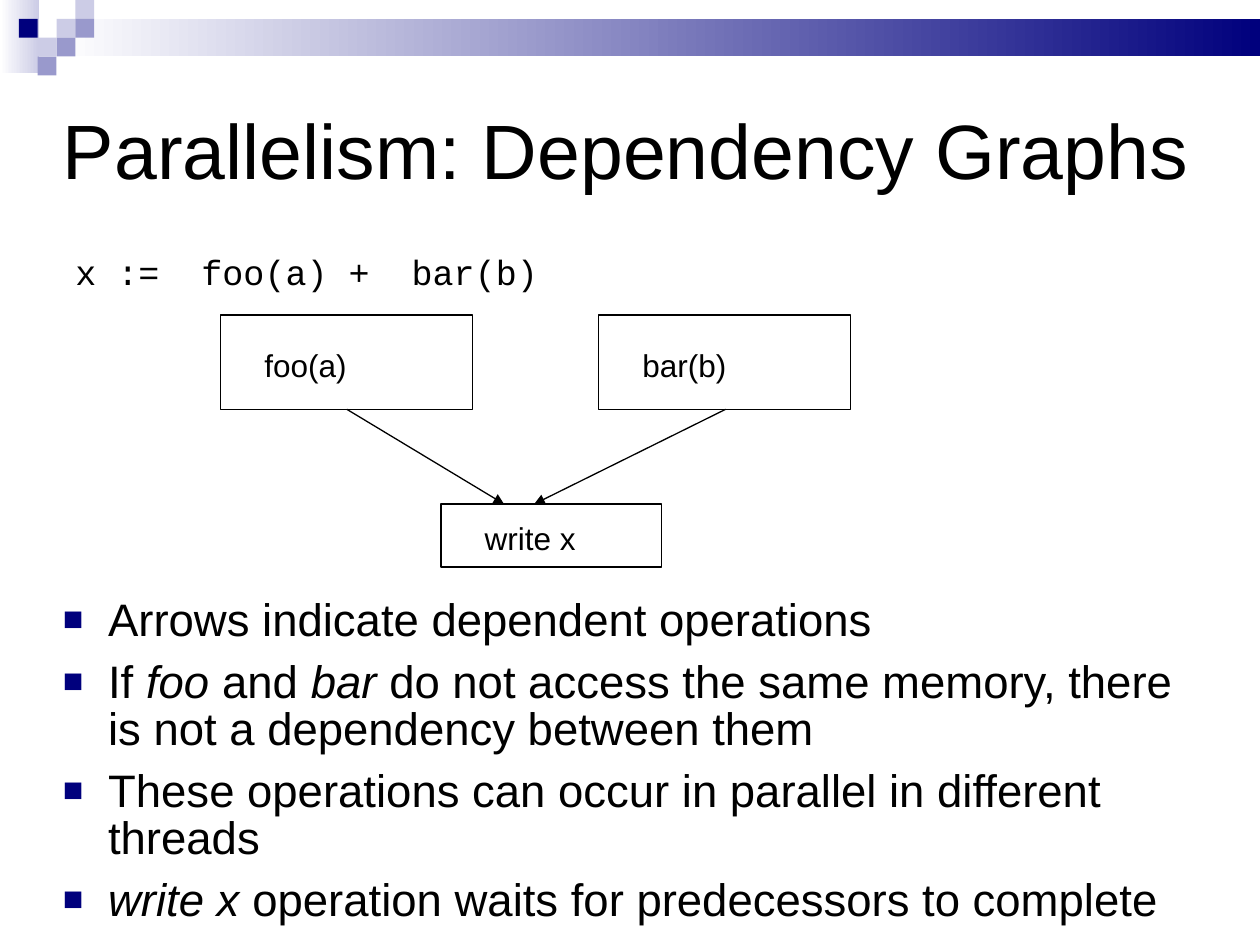
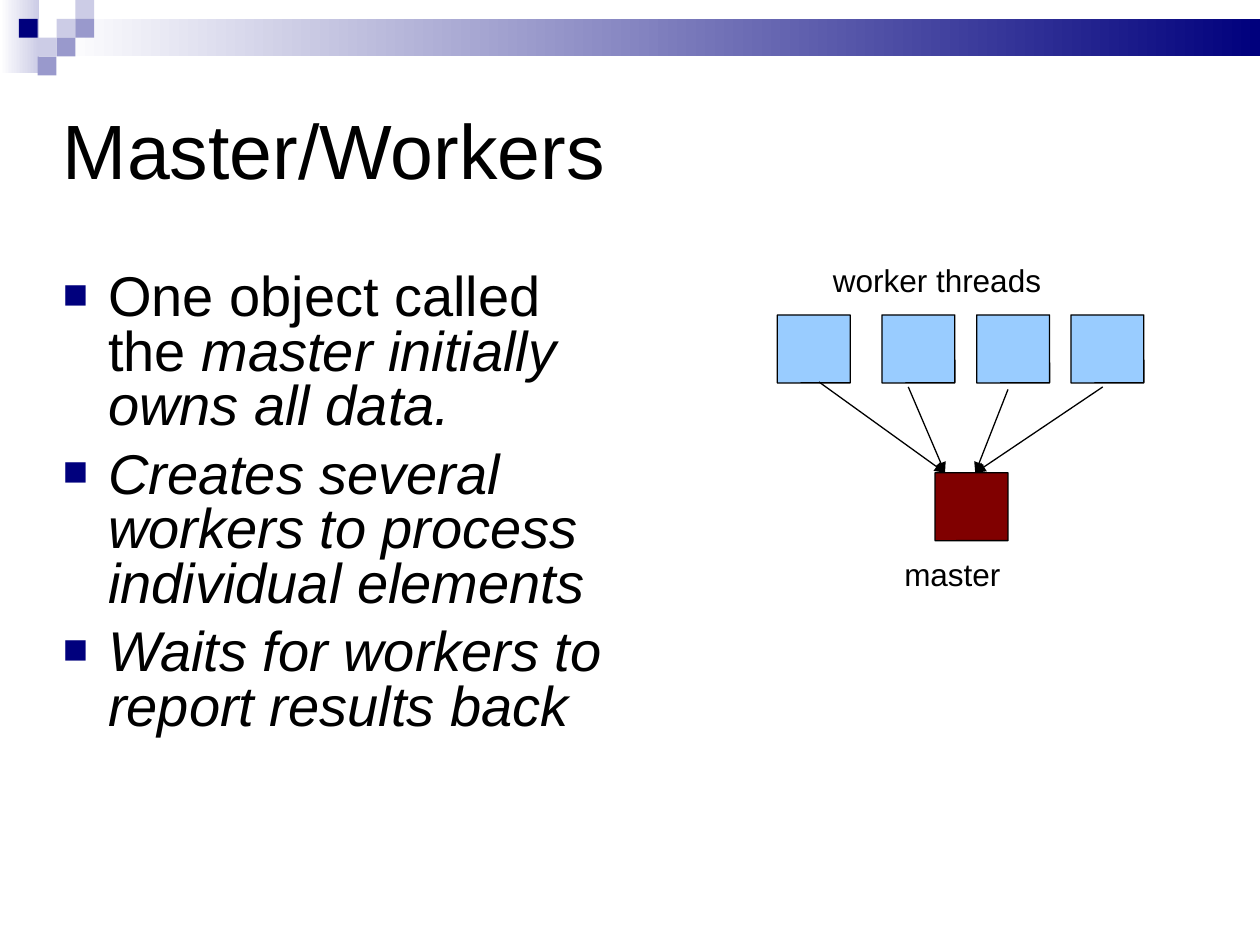
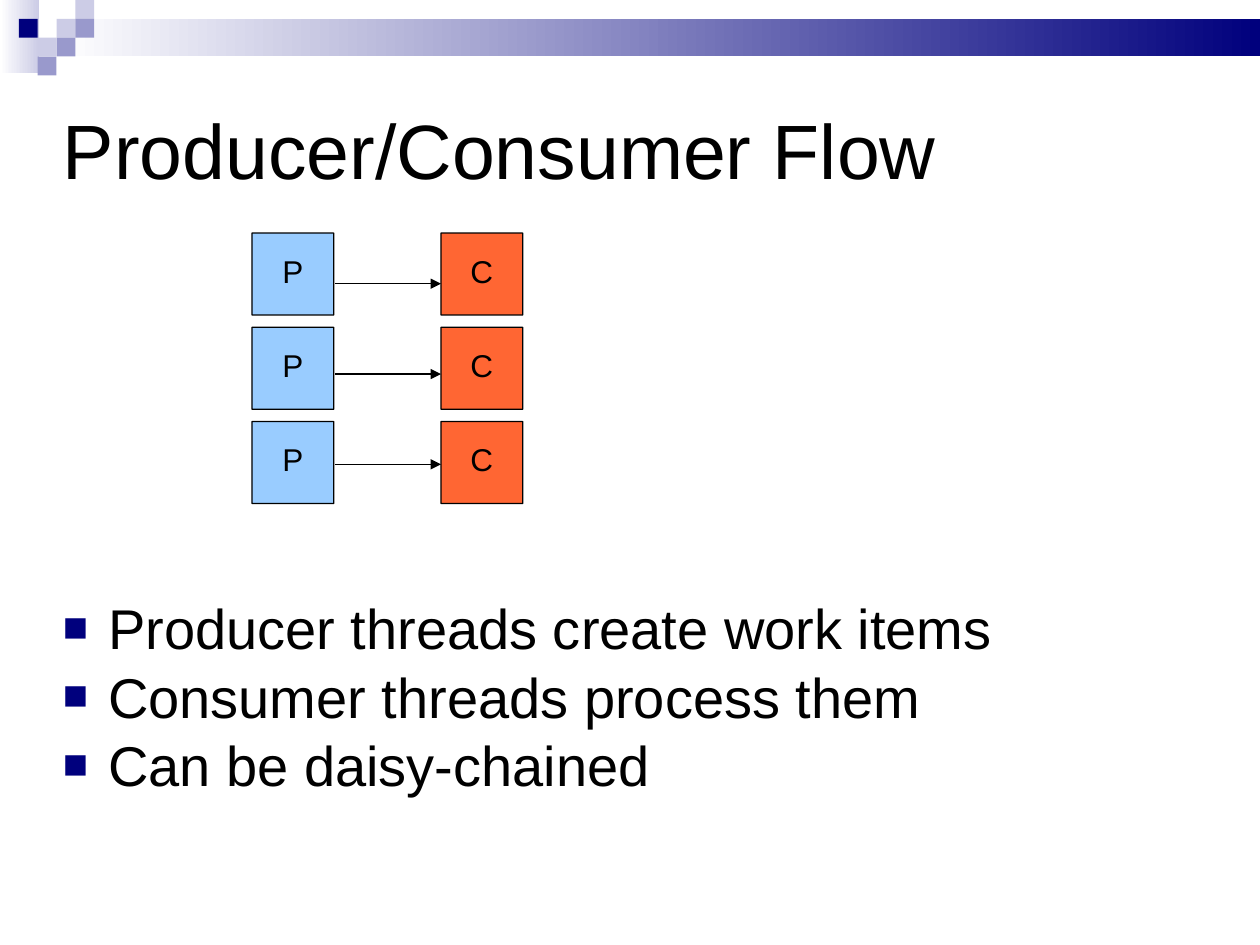
from typing import NamedTuple, Optional

from pptx import Presentation
from pptx import dml, util as u
from pptx.dml import color
from pptx.enum import shapes, text
from pptx.oxml import ns, xmlchemy
from pptx.oxml.xmlchemy import OxmlElement

HUES = {
    "ink": "000000", "white": "FFFFFF", "navy": "00007D", "mid": "9999CC",
    "pale": "CCCCE6", "sky": "99CCFF", "wine": "800000", "coral": "FF6633",
}
SANS, MONO = "Arial", "Courier New"
UNIT = 0.38  # side of a header square, cm
TIGHT = 0.81  # line spacing


class Box(NamedTuple):
    x: float
    y: float
    w: float
    h: float


class Arrow(NamedTuple):
    x1: float
    y1: float
    x2: float
    y2: float


class Style(NamedTuple):
    size: int
    font: str = SANS
    space: float = TIGHT


class Node(NamedTuple):
    """A boxed step whose label starts at an inset from the box corner."""
    box: Box
    label: str
    drop: float


class Tile(NamedTuple):
    """A header square placed by column and row."""
    col: int
    row: int
    hue: str


TITLE, LABEL, CODE = Style(44), Style(18), Style(20, MONO)
LIST, DENSE = Style(32), Style(26, space=0.87)
BANDS = [(Box(0, 0, 0.79, 1.47), "pale"), (Box(1.14, 0.38, 24.26, 0.76), "navy")]
TILES = [
    Tile(3, 1, "pale"), Tile(4, 0, "pale"), Tile(4, 1, "mid"), Tile(2, 2, "pale"),
    Tile(1, 1, "navy"), Tile(3, 2, "mid"), Tile(2, 3, "mid"),
]


def rgb(hue: str) -> color.RGBColor:
    return color.RGBColor.from_string(HUES[hue])


def place(box: Box) -> list:
    return [u.Cm(side) for side in box]


def style_runs(para, style: Style) -> None:
    para.line_spacing = style.space
    for run in para.runs:
        run.font.size = u.Pt(style.size)
        run.font.name = style.font
        run.font.color.rgb = rgb("ink")


def add_box(slide, box: Box, fill: Optional[str] = None, edge: bool = True,
            kind=shapes.MSO_SHAPE.RECTANGLE):
    shape = slide.shapes.add_shape(kind, *place(box))
    shape.shadow.inherit = False
    if fill:
        shape.fill.solid()
        shape.fill.fore_color.rgb = rgb(fill)
    else:
        shape.fill.background()
    if edge:
        shape.line.color.rgb = rgb("ink")
        shape.line.width = u.Pt(0.75)
    else:
        shape.line.fill.background()
    return shape


def add_block(slide, box: Box, fill: str, words: str = "") -> None:
    """Draw a coloured thread block, with a centred letter if given."""
    shape = add_box(slide, box, fill, kind=shapes.MSO_SHAPE.ROUNDED_RECTANGLE)
    shape.adjustments[0] = 0.003
    if words:
        frame = shape.text_frame
        frame.text = words
        frame.vertical_anchor = text.MSO_ANCHOR.MIDDLE
        frame.paragraphs[0].alignment = text.PP_ALIGN.CENTER
        style_runs(frame.paragraphs[0], LABEL)


def add_frame(slide, box: Box, inset: bool = True):
    frame = slide.shapes.add_textbox(*place(box)).text_frame
    frame.word_wrap = True
    if not inset:
        frame.margin_left = frame.margin_right = 0
        frame.margin_top = frame.margin_bottom = 0
    return frame


def add_label(slide, box: Box, words: str, style: Style = LABEL) -> None:
    frame = add_frame(slide, box)
    frame.text = words
    style_runs(frame.paragraphs[0], style)


def add_child(parent, tag: str, **attrs: str):
    child = OxmlElement(tag)
    for name, value in attrs.items():
        child.set(name, value)
    parent.append(child)
    return child


def add_list(slide, box: Box, items: list[str], style: Style) -> None:
    """Draw square bullets; words between asterisks are italic."""
    frame = add_frame(slide, box, inset=False)
    for num, item in enumerate(items):
        para = frame.add_paragraph() if num else frame.paragraphs[0]
        for part, words in enumerate(item.split("*")):
            if words:
                run = para.add_run()
                run.text = words
                run.font.italic = part % 2 == 1
        style_runs(para, style)
        para.space_before = u.Pt(8)
        props = para._p.get_or_add_pPr()
        indent = u.Cm(0.91)
        props.set("marL", str(indent))
        props.set("indent", str(-indent))
        add_child(add_child(props, "a:buClr"), "a:srgbClr", val=HUES["navy"])
        add_child(props, "a:buSzPct", val="75000")
        add_child(props, "a:buFont", typeface=SANS)
        add_child(props, "a:buChar", char="■")


def add_arrow(slide, arrow: Arrow) -> None:
    line = slide.shapes.add_connector(
        shapes.MSO_CONNECTOR.STRAIGHT, *[u.Cm(end) for end in arrow])
    line.line.color.rgb = rgb("ink")
    line.line.width = u.Pt(0.75)
    props = line._element.spPr
    add_child(props.find(ns.qn("a:ln")), "a:tailEnd", type="triangle")
    add_child(props, "a:effectLst")


def add_slide(deck, title: str):
    """Start a slide with the shared header and title."""
    slide = deck.slides.add_slide(deck.slide_layouts[6])
    for box, hue in BANDS:
        fill = add_box(slide, box, edge=False).fill
        fill.gradient()
        fill.gradient_angle = 180
        for stop, tone in zip(fill.gradient_stops, (hue, "white")):
            stop.color.rgb = rgb(tone)
    for tile in TILES:
        spot = Box(tile.col * UNIT, tile.row * UNIT, UNIT, UNIT)
        add_box(slide, spot, tile.hue, edge=False)
    frame = add_frame(slide, Box(1.27, 1.27, 22.86, 3.81), inset=False)
    frame.vertical_anchor = text.MSO_ANCHOR.MIDDLE
    frame.text = title
    style_runs(frame.paragraphs[0], TITLE)
    return slide


def draw_graph(deck) -> None:
    slide = add_slide(deck, "Parallelism: Dependency Graphs")
    nodes = [
        Node(Box(4.45, 6.35, 5.08, 1.9), "foo(a)", 0.64),
        Node(Box(12.07, 6.35, 5.08, 1.9), "bar(b)", 0.64),
        Node(Box(8.89, 10.16, 4.45, 1.27), "write x", 0.31),
    ]
    for box, label, drop in nodes:
        add_box(slide, box)
        spot = Box(box.x + 0.63, box.y + drop, box.w - 1.27, 0.86)
        add_label(slide, spot, label)
    add_arrow(slide, Arrow(6.99, 8.25, 10.16, 10.16))
    add_arrow(slide, Arrow(14.63, 8.25, 10.77, 10.16))
    add_label(slide, Box(1.27, 5.08, 22.23, 0.94), "x :=  foo(a) +  bar(b)", CODE)
    add_list(slide, Box(1.27, 12.07, 22.86, 6.58), [
        "Arrows indicate dependent operations",
        "If *foo* and *bar* do not access the same memory, there is not a "
        "dependency between them",
        "These operations can occur in parallel in different threads",
        "*write x* operation waits for predecessors to complete",
    ], DENSE)


def draw_workers(deck) -> None:
    slide = add_slide(deck, "Master/Workers")
    add_list(slide, Box(1.27, 5.51, 11.38, 10.8), [
        "One object called the *master initially owns all data.*",
        "*Creates several workers to process individual elements*",
        "*Waits for workers to report results back*",
    ], LIST)
    for x in (15.67, 17.78, 19.69, 21.59):
        add_block(slide, Box(x, 6.35, 1.47, 1.37), "sky")
    add_block(slide, Box(18.85, 9.53, 1.47, 1.37), "wine")
    left, right = 19.05, 19.66
    for x, y, end in ((16.51, 7.7, left), (18.31, 7.8, left),
                      (20.32, 7.85, right), (22.23, 7.8, right)):
        add_arrow(slide, Arrow(x, y, end, 9.53))
    add_label(slide, Box(16.54, 5.28, 6.3, 0.86), "worker threads")
    add_label(slide, Box(17.98, 11.2, 5.28, 0.86), "master")


def draw_flow(deck) -> None:
    slide = add_slide(deck, "Producer/Consumer Flow")
    add_list(slide, Box(1.27, 12.22, 22.86, 4.06), [
        "Producer threads create work items",
        "Consumer threads process them",
        "Can be daisy-chained",
    ], LIST)
    for row in range(3):
        for x, hue, letter in ((5.08, "sky", "P"), (8.89, "coral", "C")):
            add_block(slide, Box(x, 4.7 + 1.9 * row, 1.65, 1.65), hue, letter)
        y = 5.72 + 1.82 * row
        add_arrow(slide, Arrow(6.76, y, 8.89, y))


def main() -> None:
    deck = Presentation()
    deck.slide_width, deck.slide_height = u.Cm(25.4), u.Cm(19.05)
    draw_graph(deck)
    draw_workers(deck)
    draw_flow(deck)
    deck.save("out.pptx")


if __name__ == "__main__":
    main()
